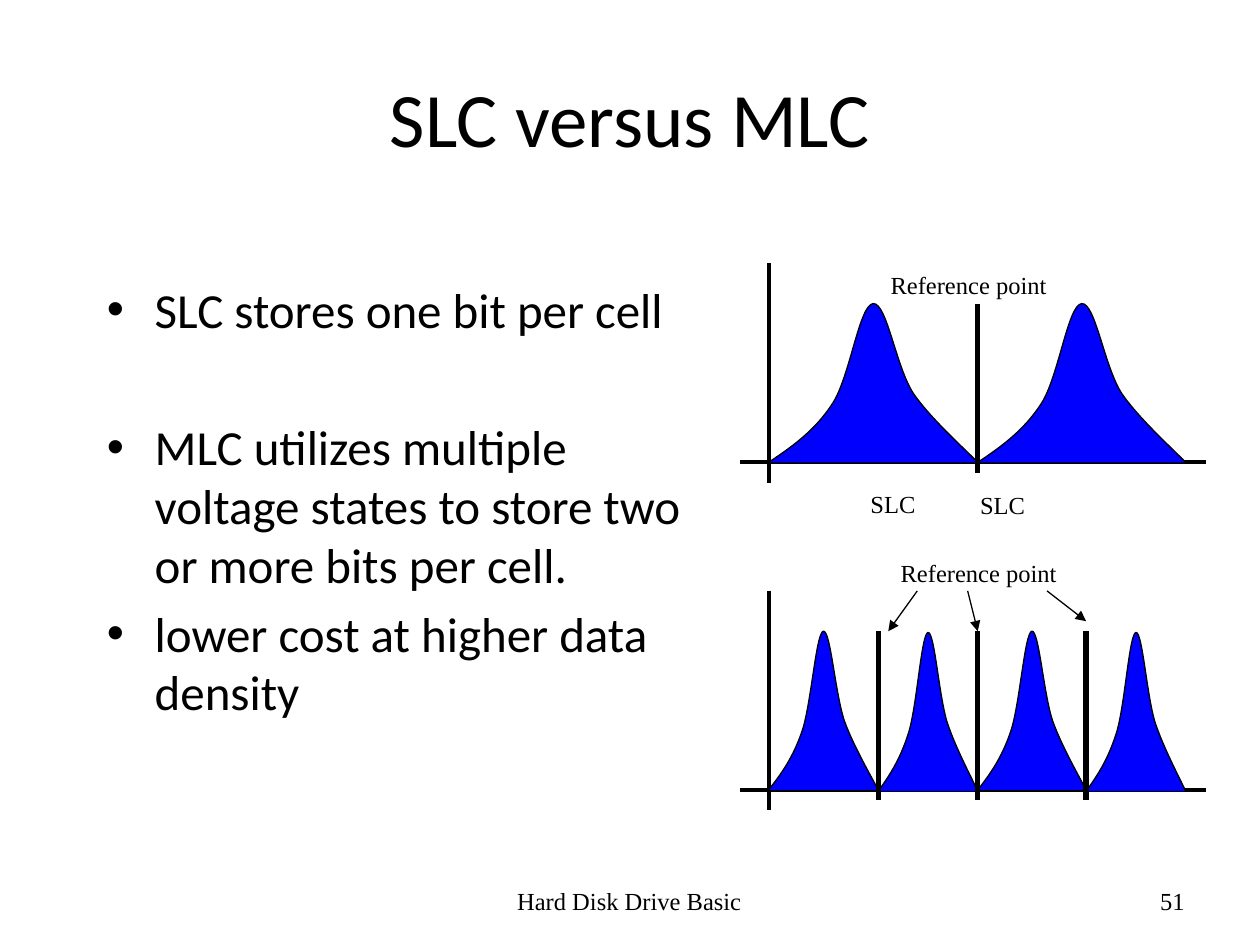
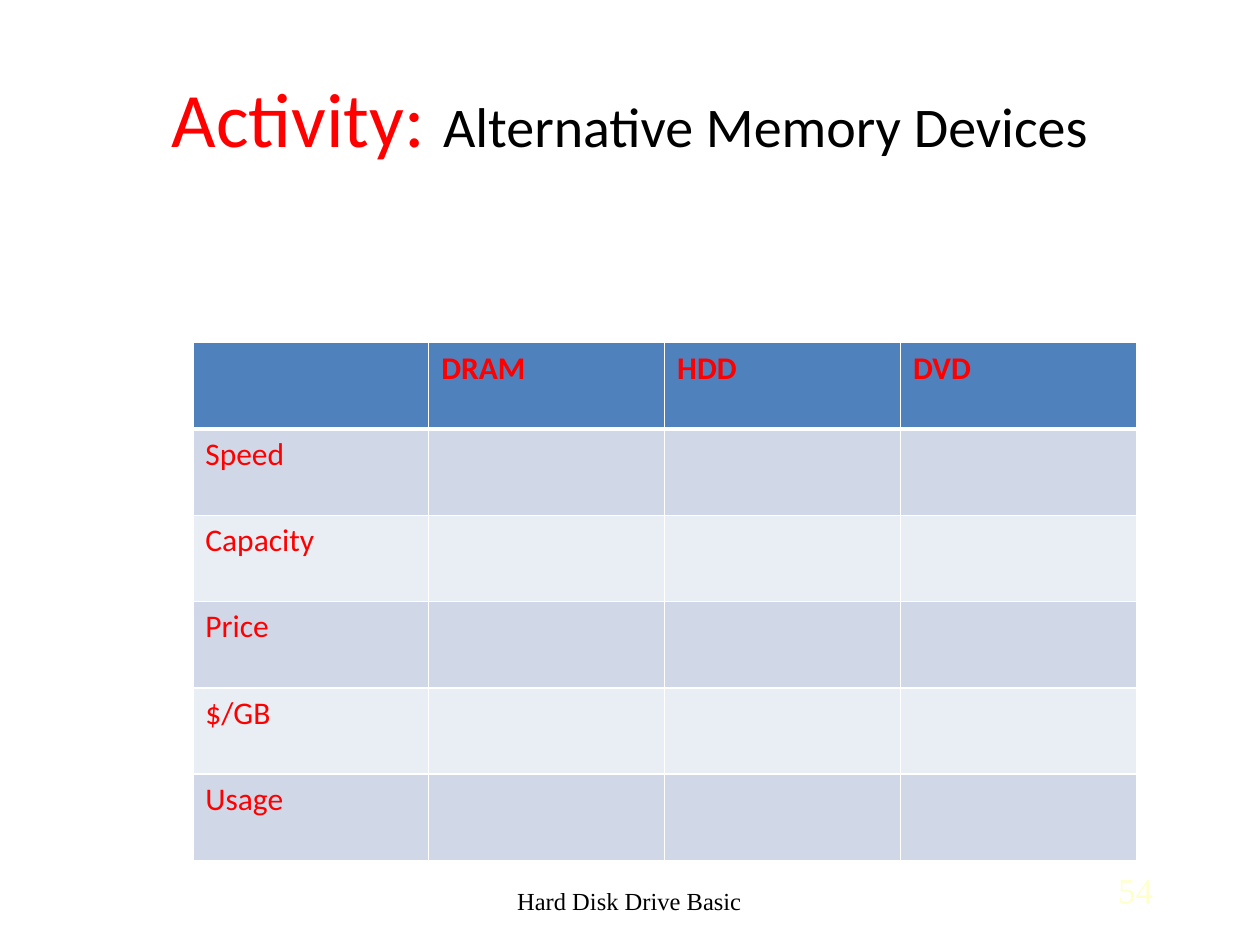
from lxml import etree
from pptx import Presentation
from pptx.dml.color import RGBColor
from pptx.enum.shapes import MSO_CONNECTOR
from pptx.enum.text import MSO_ANCHOR, PP_ALIGN
from pptx.oxml.ns import qn
from pptx.util import Pt

PX = 9144
STRAIGHT = MSO_CONNECTOR.STRAIGHT
LEFT, CENTER, RIGHT = PP_ALIGN.LEFT, PP_ALIGN.CENTER, PP_ALIGN.RIGHT
TOP, MIDDLE = MSO_ANCHOR.TOP, MSO_ANCHOR.MIDDLE
SANS, SERIF, BULLET_FONT = "Calibri", "Times New Roman", "Arial"
COLORS = {
    "ink": "000000",
    "paper": "FFFFFF",
    "accent": "FF0000",
    "peak": "0000FF",
    "header": "4F81BD",
    "band_dark": "D0D8E8",
    "band_light": "E9EDF4",
    "pale": "FFFFCC",
}
BELL = [(0, 0), (11.5, 10), (22.3, 20), (30.7, 37), (39, 54), (43.4, 98.4), (50, 99.2),
        (56.6, 100), (60.8, 60), (69.3, 43), (77.7, 27), (95, 7), (100, 0)]
BELL_HEIGHT = 127


def color(name):
    return RGBColor.from_string(COLORS[name])


def curve_segments(freeform):
    corners = list(freeform._element.iter(qn("a:lnTo")))
    for start in range(0, len(corners), 3):
        curve = etree.Element(qn("a:cubicBezTo"))
        corners[start].addprevious(curve)
        for corner in corners[start:start + 3]:
            curve.append(corner[0])
            corner.getparent().remove(corner)


def write(frame, paragraphs, size=14, font=SERIF, ink="ink", bold=False,
          align=LEFT, anchor=TOP, bullet=None, gaps=()):
    frame.word_wrap = True
    frame.vertical_anchor = anchor
    for index, runs in enumerate(paragraphs):
        paragraph = frame.paragraphs[0] if index == 0 else frame.add_paragraph()
        if bullet:
            properties = paragraph._p.get_or_add_pPr()
            properties.set("marL", str(38 * PX))
            properties.set("indent", str(-38 * PX))
            etree.SubElement(properties, qn("a:buFont"), typeface=BULLET_FONT)
            etree.SubElement(properties, qn("a:buChar"), char=bullet)
        paragraph.alignment = align
        if index and gaps:
            paragraph.space_before = Pt(gaps[index - 1])
        for words, own_size, own_ink in [(runs, size, ink)] if isinstance(runs, str) else runs:
            run = paragraph.add_run()
            run.text = words
            run.font.name = font
            run.font.size = Pt(own_size)
            run.font.bold = bold
            run.font.color.rgb = color(own_ink)


class Deck:
    def __init__(self):
        self.presentation = Presentation()
        self.presentation.slide_width = 1000 * PX
        self.presentation.slide_height = 750 * PX
        self.slide = None

    def new_slide(self, title):
        self.slide = self.presentation.slides.add_slide(self.presentation.slide_layouts[5])
        self.slide.background.fill.solid()
        self.slide.background.fill.fore_color.rgb = color("paper")
        heading = self.slide.shapes.title
        heading.left, heading.top, heading.width, heading.height = (
            side * PX for side in (50, 30, 900, 125))
        write(heading.text_frame, [title], size=44, font=SANS, align=CENTER, anchor=MIDDLE)
        self.text((341, 695, 317, 40), ["Hard Disk Drive Basic"], align=CENTER, anchor=MIDDLE)

    def text(self, box, paragraphs, **style):
        holder = self.slide.shapes.add_textbox(*(side * PX for side in box))
        write(holder.text_frame, paragraphs, **style)

    def line(self, start, end, width, arrow=False):
        connector = self.slide.shapes.add_connector(
            STRAIGHT, *(value * PX for value in start + end))
        connector.line.color.rgb = color("ink")
        connector.line.width = Pt(width)
        if arrow:
            etree.SubElement(connector.line._get_or_add_ln(), qn("a:tailEnd"), type="triangle")
        etree.SubElement(connector._element.spPr, qn("a:effectLst"))

    def bell(self, left, right, base):
        outline = [(round((left + (right - left) * x / 100) * PX),
                    round((base - BELL_HEIGHT * y / 100) * PX)) for x, y in BELL]
        builder = self.slide.shapes.build_freeform(*outline[0])
        builder.add_line_segments(outline[1:], close=False)
        peak = builder.convert_to_shape()
        curve_segments(peak)
        peak.shadow.inherit = False
        peak.fill.solid()
        peak.fill.fore_color.rgb = color("peak")
        peak.line.color.rgb = color("ink")
        peak.line.width = Pt(0.75)

    def voltage_plot(self, base, edges, sag=0):
        self.line((edges[0], base - 158), (edges[0], base + 16), 2.25)
        self.line((587, base), (957, base), 2.25)
        for index, (left, right) in enumerate(zip(edges, edges[1:])):
            self.bell(left, right, base + sag * (index % 2))
        for reference in edges[1:-1]:
            self.line((reference, base - 126), (reference, base + 8), 3)

    def border(self, cell, sides):
        properties = cell._tc.get_or_add_tcPr()
        for side, width in sides.items():
            edge = etree.SubElement(properties, qn(f"a:ln{side}"), w=str(Pt(width)))
            fill = etree.SubElement(edge, qn("a:solidFill"))
            etree.SubElement(fill, qn("a:srgbClr"), val=COLORS["paper"])

    def table(self, box, rows):
        grid = self.slide.shapes.add_table(
            len(rows), len(rows[0]), *(side * PX for side in box)).table
        for r, row in enumerate(rows):
            for c, words in enumerate(row):
                cell = grid.cell(r, c)
                self.border(cell, {"L": 1, "R": 1, "T": 3 if r == 1 else 1,
                                   "B": 3 if r == 0 else 1})
                cell.fill.solid()
                band = "header" if r == 0 else "band_dark" if r % 2 else "band_light"
                cell.fill.fore_color.rgb = color(band)
                if words:
                    write(cell.text_frame, [words], size=18, font=SANS, ink="accent",
                          bold=r == 0)


def cell_types(deck):
    deck.new_slide("SLC versus MLC")
    deck.text((75, 217, 504, 450), [
        "SLC stores one bit per cell",
        "MLC utilizes multiple voltage states to store two or more bits per cell.",
        "lower cost at higher data density",
    ], size=28, font=SANS, bullet="•", gaps=(44.8, 5.6))
    deck.text((717, 695, 233, 40), ["51"], align=RIGHT, anchor=MIDDLE)
    deck.voltage_plot(367, (610, 776, 941))
    deck.voltage_plot(627, (610, 697, 776, 862, 941), sag=1)
    for label, box in (
        ("Reference point", (697, 209, 157, 33)),
        ("Reference point", (705, 438, 197, 33)),
        ("SLC", (681, 383, 83, 33)),
        ("SLC", (768, 384, 75, 33)),
    ):
        deck.text(box, [label])
    for start, tip in ((728, (705, 501)), (768, (776, 501)), (831, (862, 493))):
        deck.line((start, 469), tip, 0.75, arrow=True)


def memory_activity(deck):
    deck.new_slide([("Activity: ", 44, "accent"), ("Alternative Memory Devices", 32, "ink")])
    headings = ["", "DRAM", "HDD", "DVD"]
    criteria = ["Speed", "Capacity", "Price", "$/GB", "Usage"]
    deck.table((153, 272, 749, 411), [headings] + [[name, "", "", ""] for name in criteria])
    deck.text((692, 686, 233, 40), ["54"], size=20, ink="pale", align=RIGHT, anchor=MIDDLE)


def main():
    deck = Deck()
    cell_types(deck)
    memory_activity(deck)
    deck.presentation.save("out.pptx")


if __name__ == "__main__":
    main()
